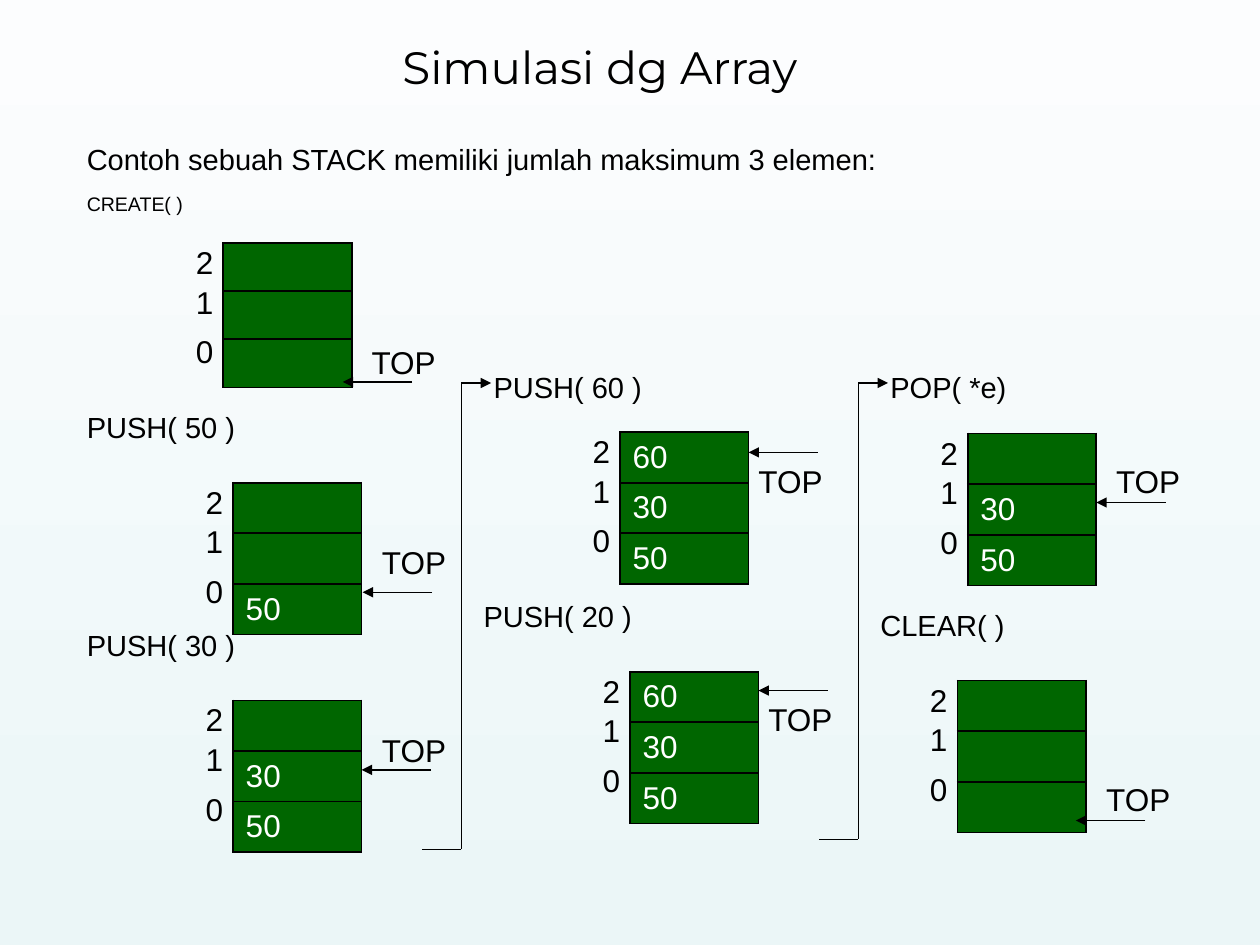
from lxml import etree
from pptx import Presentation
from pptx.dml.color import RGBColor
from pptx.enum.shapes import MSO_CONNECTOR
from pptx.enum.text import MSO_ANCHOR, PP_ALIGN
from pptx.oxml import parse_xml
from pptx.oxml.ns import nsdecls, qn
from pptx.util import Cm, Pt

BLACK, WHITE, GREEN = "000000", "FFFFFF", "006600"
CELL_WIDTH = 2.59
ARROW_LENGTH = 1.4
INDEX_OFFSETS = {"2": 0, "1": 0.8, "0": 1.8}

presentation = Presentation()
presentation.slide_width, presentation.slide_height = Cm(25.4), Cm(19.05)
slide = presentation.slides.add_slide(presentation.slide_layouts[6])

background = slide.background.fill
background.gradient()
background.gradient_angle = 270
for stop, color, position in zip(background.gradient_stops, ("FCFDFE", "EBF6F7"), (0, 1)):
    stop.color.rgb = RGBColor.from_string(color)
    stop.position = position


def write(text, left, top, width, height, size=18, font="Arial", align=PP_ALIGN.LEFT,
          anchor=MSO_ANCHOR.MIDDLE, inset=(0, 0), spacing=None):
    """Add a text box; inset is the horizontal and the vertical margin in cm."""
    box = slide.shapes.add_textbox(Cm(left), Cm(top), Cm(width), Cm(height))
    frame = box.text_frame
    frame.word_wrap = True
    frame.vertical_anchor = anchor
    frame.margin_left = frame.margin_right = Cm(inset[0])
    frame.margin_top = frame.margin_bottom = Cm(inset[1])
    paragraph = frame.paragraphs[0]
    paragraph.alignment = align
    paragraph.line_spacing = spacing
    run = paragraph.add_run()
    run.text = text
    run.font.size, run.font.name = Pt(size), font
    run.font.color.rgb = RGBColor.from_string(BLACK)


def draw_line(x1, y1, x2, y2, arrow=False):
    line = slide.shapes.add_connector(MSO_CONNECTOR.STRAIGHT, Cm(x1), Cm(y1), Cm(x2), Cm(y2))
    line.line.width = Pt(0.75)
    line.line.color.rgb = RGBColor.from_string(BLACK)
    properties = line._element.spPr
    if arrow:
        etree.SubElement(properties.find(qn("a:ln")), qn("a:tailEnd"), type="triangle")
    etree.SubElement(properties, qn("a:effectLst"))


write("Simulasi dg Array", 1.3, 0.71, 21.59, 1.4, size=25.9, font="Montserrat",
      align=PP_ALIGN.CENTER, inset=(0.25, 0.13), spacing=0.9)

# Text, left, top, width, size
captions = [
    ("Contoh sebuah STACK memiliki jumlah maksimum 3 elemen:", 1.5, 2.72, 22.81, 16.6),
    ("CREATE( )", 1.5, 3.73, 4.19, 11.2),
    ("PUSH( 50 )", 1.5, 8.13, 4.19, 16.6),
    ("PUSH( 30 )", 1.5, 12.52, 4.19, 16.6),
    ("PUSH( 60 )", 9.7, 7.32, 4.19, 16.6),
    ("PUSH( 20 )", 9.5, 11.94, 4.19, 16.6),
    ("POP( *e)", 17.7, 7.32, 3.2, 16.6),
    ("CLEAR( )", 17.5, 12.12, 4.19, 16.6),
]
for text, left, top, width, size in captions:
    write(text, left, top, width, 0.99, size=size, anchor=MSO_ANCHOR.TOP, inset=(0.25, 0.13))

# Left, top, row height, values from index 2 down, TOP label, arrow tip
stacks = [
    (4.5, 4.9, 0.97, ("", "", ""), (7.49, 6.91), (6.91, 7.7)),
    (4.7, 9.73, 1.02, ("", "", "50"), (7.7, 10.95), (7.31, 11.94)),
    (4.7, 14.12, 1.02, ("", "30", "50"), (7.7, 14.73), (7.29, 15.52)),
    (12.5, 8.71, 1.02, ("60", "30", "50"), (15.29, 9.32), (15.09, 9.12)),
    (12.7, 13.54, 1.02, ("60", "30", "50"), (15.49, 14.12), (15.29, 13.92)),
    (19.51, 8.74, 1.02, ("", "30", "50"), (22.5, 9.32), (22.1, 10.13)),
    (19.3, 13.72, 1.02, ("", "", ""), (22.3, 15.72), (21.69, 16.54)),
]
for left, top, row_height, values, top_label, (tip_x, tip_y) in stacks:
    stack = slide.shapes.add_table(len(values), 1, Cm(left), Cm(top), Cm(CELL_WIDTH),
                                   Cm(row_height * len(values))).table
    stack.first_row = stack.horz_banding = False
    for row, value in enumerate(values):
        stack.rows[row].height = Cm(row_height)
        cell = stack.cell(row, 0)
        cell.vertical_anchor = MSO_ANCHOR.MIDDLE
        cell.margin_top = cell.margin_bottom = Cm(0.08)
        if value:
            run = cell.text_frame.paragraphs[0].add_run()
            run.text = value
            run.font.size, run.font.name = Pt(18), "Arial"
            run.font.color.rgb = RGBColor.from_string(WHITE)
        cell_properties = cell._tc.get_or_add_tcPr()
        for side in ("lnL", "lnR", "lnT", "lnB"):
            cell_properties.append(parse_xml(
                f'<a:{side} {nsdecls("a")} w="{Pt(1.08)}"><a:solidFill>'
                f'<a:srgbClr val="{BLACK}"/></a:solidFill></a:{side}>'))
        cell.fill.solid()
        cell.fill.fore_color.rgb = RGBColor.from_string(GREEN)

    for index, offset in INDEX_OFFSETS.items():
        write(index, left - 0.81, top + offset, 0.61, 0.76, align=PP_ALIGN.RIGHT)
    write("TOP", *top_label, 1.6, 0.76)
    draw_line(tip_x + ARROW_LENGTH, tip_y, tip_x, tip_y, arrow=True)

# Paths leading from the foot of one column to the head of the next
for start_x, turn_x, foot_y in ((8.51, 9.3, 17.12), (16.51, 17.3, 16.92)):
    head_y = 7.72
    draw_line(start_x, foot_y, turn_x, foot_y)
    draw_line(turn_x, head_y, turn_x, foot_y)
    draw_line(turn_x, head_y, turn_x + 0.6, head_y, arrow=True)

presentation.save("out.pptx")
